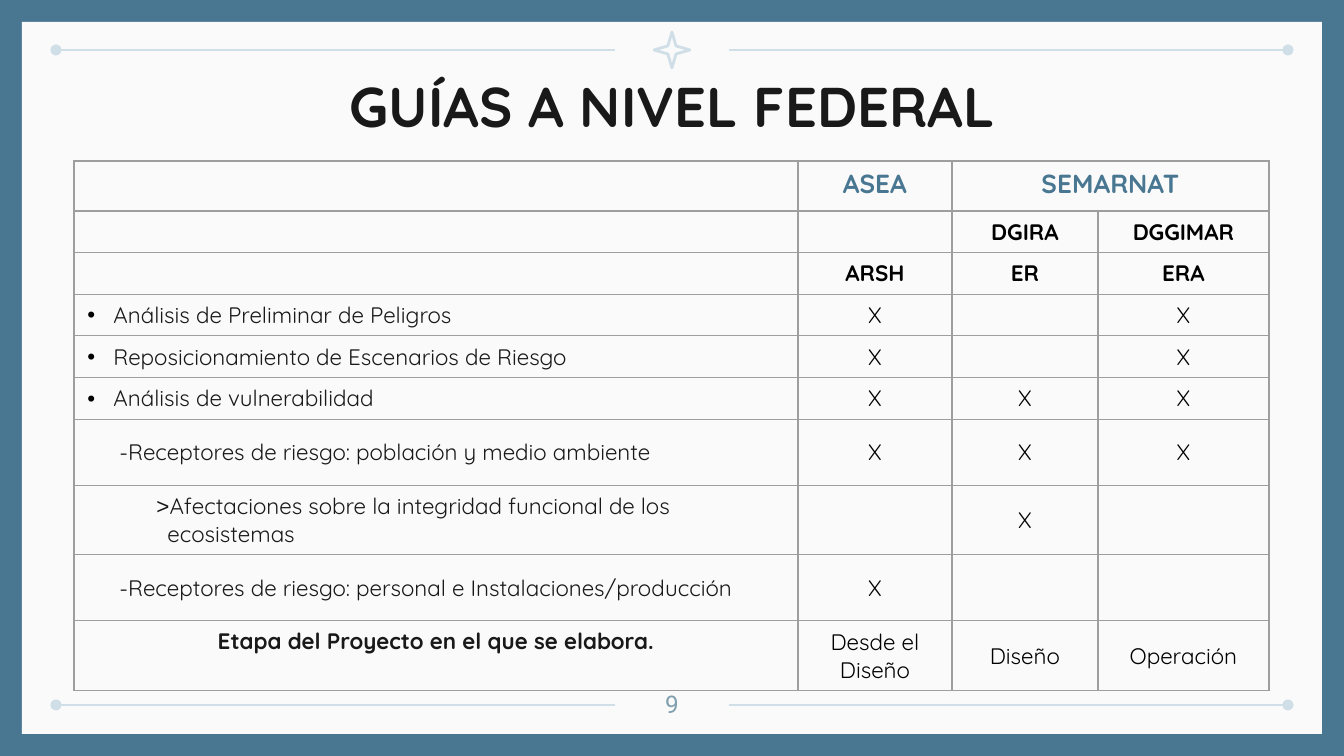
from dataclasses import dataclass
from itertools import accumulate

from lxml import etree
from pptx import Presentation
from pptx.dml.color import RGBColor
from pptx.enum.shapes import MSO_CONNECTOR, MSO_SHAPE
from pptx.enum.text import MSO_ANCHOR, MSO_AUTO_SIZE, PP_ALIGN
from pptx.oxml.ns import qn
from pptx.util import Pt

RECTANGLE, STAR = MSO_SHAPE.RECTANGLE, MSO_SHAPE.STAR_4_POINT
STRAIGHT = MSO_CONNECTOR.STRAIGHT
LEFT, CENTER = PP_ALIGN.LEFT, PP_ALIGN.CENTER
TOP, MIDDLE = MSO_ANCHOR.TOP, MSO_ANCHOR.MIDDLE
NO_AUTO_SIZE = MSO_AUTO_SIZE.NONE

SLIDE_WIDTH, SLIDE_HEIGHT = 1344, 756
EMU_PER_PX = 9144000 / SLIDE_WIDTH
TITLE_ONLY = 5
INSET = 13
FONT = "Quicksand"
COLORS = {
    "frame": "497792",
    "paper": "FAFAFA",
    "ornament": "CFDEE7",
    "ink": "191919",
    "black": "000000",
    "number": "809FAF",
    "border": "9E9E9E",
}


@dataclass(frozen=True)
class Rule:
    left: int
    right: int
    y: int
    dot: str


@dataclass(frozen=True)
class Style:
    size: int = 12
    color: str = "black"
    bold: bool = False
    font: str = FONT
    align: PP_ALIGN = CENTER
    anchor: MSO_ANCHOR = MIDDLE


@dataclass(frozen=True)
class Line:
    text: str
    indent: int = 0
    bullet: str = ""
    prefix: str = ""


@dataclass(frozen=True)
class Row:
    height: int
    label: tuple[Line, ...]
    values: tuple[str, str, str]
    label_style: Style
    value_style: Style


AGENCY = Style(size=14, color="frame", bold=True, anchor=TOP)
HEADING = Style(bold=True)
TOPIC = Style(color="ink", align=LEFT)
STAGE = Style(color="ink", bold=True, anchor=TOP)
MARK = Style()
TITLE = Style(size=30, color="ink", bold=True, anchor=TOP)
NUMBER = Style(size=13, color="number", font="Roboto", anchor=TOP)

RULES = [
    Rule(left, right, y, dot)
    for y in (50, 705)
    for left, right, dot in ((56, 615, "headEnd"), (729, 1288, "tailEnd"))
]
COLUMN_WIDTHS = (724, 154, 146, 171)


def topic(text: str) -> tuple[Line, ...]:
    return (Line(text, indent=26, bullet="•"),)


ROWS = [
    Row(50, (), ("ASEA", "SEMARNAT", ""), TOPIC, AGENCY),
    Row(41, (), ("", "DGIRA", "DGGIMAR"), TOPIC, HEADING),
    Row(42, (), ("ARSH", "ER", "ERA"), TOPIC, HEADING),
    Row(41, topic("Análisis de Preliminar de Peligros"), ("X", "", "X"), TOPIC, MARK),
    Row(42, topic("Reposicionamiento de Escenarios de Riesgo"), ("X", "", "X"), TOPIC, MARK),
    Row(41, topic("Análisis de vulnerabilidad"), ("X", "X", "X"), TOPIC, MARK),
    Row(66, (Line("-Receptores de riesgo: población y medio ambiente", 32),),
        ("X", "X", "X"), TOPIC, MARK),
    Row(69, (Line("Afectaciones sobre la integridad funcional de los", 69, prefix=">"),
             Line("ecosistemas", 80)), ("", "X", ""), TOPIC, MARK),
    Row(66, (Line("-Receptores de riesgo: personal e Instalaciones/producción", 32),),
        ("X", "", ""), TOPIC, MARK),
    Row(70, (Line("Etapa del Proyecto en el que se elabora."),),
        ("Desde el Diseño", "Diseño", "Operación"), STAGE, MARK),
]


def px(length: int) -> int:
    return round(length * EMU_PER_PX)


def rgb(name: str) -> RGBColor:
    return RGBColor.from_string(COLORS[name])


def add_color(parent, name: str) -> None:
    etree.SubElement(parent, qn("a:srgbClr"), val=COLORS[name])


def add_run(paragraph, text: str, style: Style, font: str) -> None:
    run = paragraph.add_run()
    run.text = text
    run.font.name = font
    run.font.size = Pt(style.size)
    run.font.bold = style.bold
    run.font.color.rgb = rgb(style.color)


def write_line(paragraph, line: Line, style: Style) -> None:
    paragraph.alignment = style.align
    properties = paragraph._p.get_or_add_pPr()
    if line.indent:
        properties.set("marL", str(px(line.indent)))
    if line.bullet:
        properties.set("indent", str(-px(line.indent)))
        add_color(etree.SubElement(properties, qn("a:buClr")), "black")
        etree.SubElement(properties, qn("a:buFont"), typeface="Arial")
        etree.SubElement(properties, qn("a:buChar"), char=line.bullet)
    if line.prefix:
        add_run(paragraph, line.prefix, style, "Arial")
    add_run(paragraph, line.text, style, style.font)


def write_box(shape, text: str, style: Style) -> None:
    frame = shape.text_frame
    frame.word_wrap = True
    frame.auto_size = NO_AUTO_SIZE
    frame.vertical_anchor = style.anchor
    frame.margin_left = frame.margin_right = px(INSET)
    frame.margin_top = frame.margin_bottom = px(INSET)
    write_line(frame.paragraphs[0], Line(text), style)


def write_cell(cell, lines: tuple[Line, ...], style: Style) -> None:
    properties = cell._tc.get_or_add_tcPr()
    for side in ("lnL", "lnR", "lnT", "lnB"):
        border = etree.SubElement(properties, qn(f"a:{side}"), w=str(Pt(0.75)))
        add_color(etree.SubElement(border, qn("a:solidFill")), "border")
    cell.fill.background()
    cell.vertical_anchor = style.anchor
    frame = cell.text_frame
    for index, line in enumerate(lines):
        paragraph = frame.add_paragraph() if index else frame.paragraphs[0]
        write_line(paragraph, line, style)
    if not lines:
        etree.SubElement(frame.paragraphs[0]._p, qn("a:endParaRPr"), sz="1200")


def draw_rule(slide, rule: Rule) -> None:
    connector = slide.shapes.add_connector(
        STRAIGHT, px(rule.left), px(rule.y), px(rule.right), px(rule.y))
    connector.line.color.rgb = rgb("ornament")
    connector.line.width = Pt(1.5)
    etree.SubElement(connector.line._get_or_add_ln(), qn(f"a:{rule.dot}"), type="oval")
    etree.SubElement(connector._element.spPr, qn("a:effectLst"))


def draw_background(slide) -> None:
    slide.background.fill.solid()
    slide.background.fill.fore_color.rgb = rgb("frame")
    paper = slide.shapes.add_shape(RECTANGLE, px(22), px(22), px(1300), px(712))
    paper.shadow.inherit = False
    paper.fill.solid()
    paper.fill.fore_color.rgb = rgb("paper")
    paper.line.fill.background()
    star = slide.shapes.add_shape(STAR, px(654), px(32), px(36), px(36))
    star.shadow.inherit = False
    star.adjustments[0] = 0.16
    star.fill.background()
    star.line.color.rgb = rgb("ornament")
    star.line.width = Pt(1.5)
    for rule in RULES:
        draw_rule(slide, rule)


def draw_title(slide, text: str) -> None:
    title = slide.shapes.title
    title.left, title.top, title.width, title.height = map(px, (106, 59, 1133, 85))
    write_box(title, text, TITLE)
    slide.shapes._spTree.append(title._element)


def draw_table(slide) -> None:
    *_, height = accumulate(row.height for row in ROWS)
    table = slide.shapes.add_table(
        len(ROWS), len(COLUMN_WIDTHS), px(74), px(161), px(sum(COLUMN_WIDTHS)), px(height)).table
    table.first_row = table.horz_banding = False
    for column, width in zip(table.columns, COLUMN_WIDTHS):
        column.width = px(width)
    for index, row in enumerate(ROWS):
        table.rows[index].height = px(row.height)
        write_cell(table.cell(index, 0), row.label, row.label_style)
        for column, value in enumerate(row.values, 1):
            lines = (Line(value),) if value else ()
            write_cell(table.cell(index, column), lines, row.value_style)
    table.cell(0, 2).merge(table.cell(0, 3))


def main() -> None:
    presentation = Presentation()
    presentation.slide_width, presentation.slide_height = px(SLIDE_WIDTH), px(SLIDE_HEIGHT)
    slide = presentation.slides.add_slide(presentation.slide_layouts[TITLE_ONLY])
    draw_background(slide)
    draw_title(slide, "GUÍAS A NIVEL FEDERAL")
    number = slide.shapes.add_textbox(px(632), px(676), px(80), px(48))
    write_box(number, "9", NUMBER)
    draw_table(slide)
    presentation.save("out.pptx")


if __name__ == "__main__":
    main()
